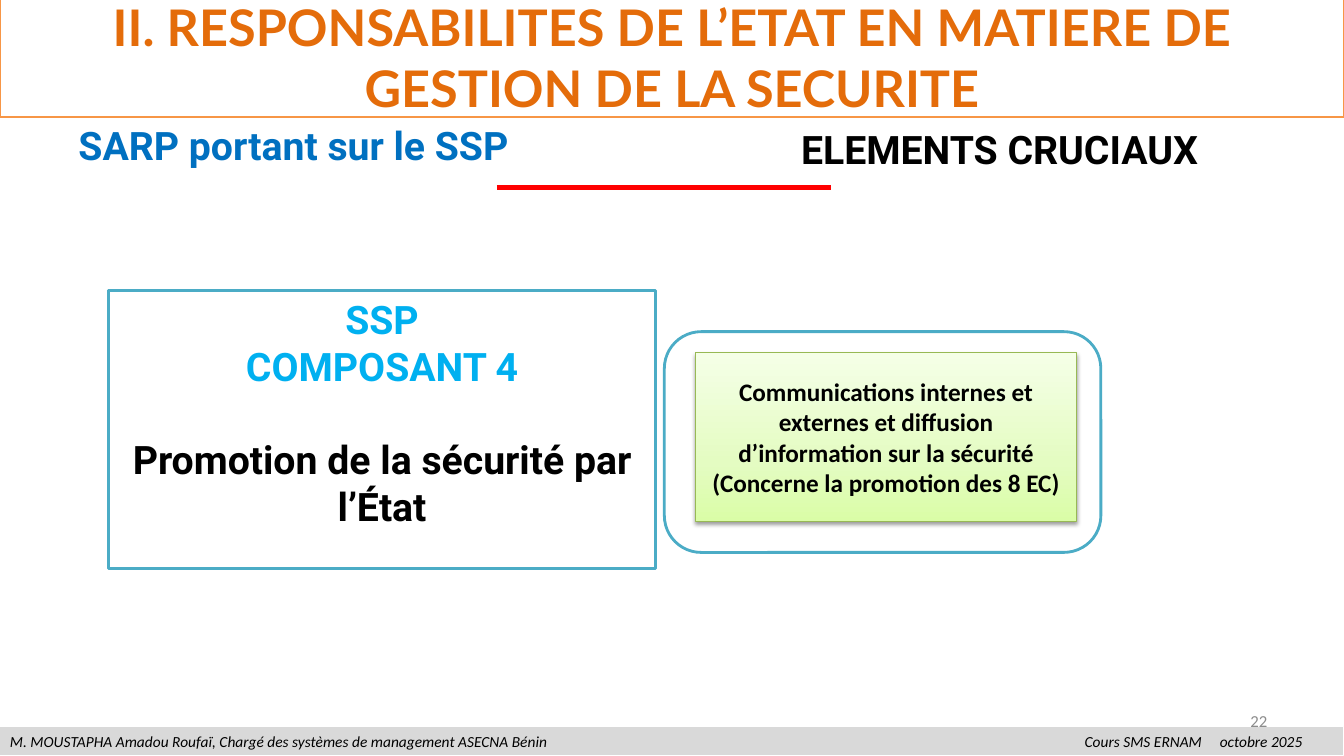
"""Build the slide on the State's safety promotion duties."""
from dataclasses import dataclass
from lxml import etree
from pptx import Presentation
from pptx.dml.color import RGBColor
from pptx.enum.shapes import MSO_CONNECTOR, MSO_SHAPE
from pptx.enum.text import MSO_ANCHOR, PP_ALIGN
from pptx.oxml import parse_xml
from pptx.util import Inches, Pt

RECT, ROUND = MSO_SHAPE.RECTANGLE, MSO_SHAPE.ROUNDED_RECTANGLE
STRAIGHT = MSO_CONNECTOR.STRAIGHT
LEFT, MID, RIGHT = PP_ALIGN.LEFT, PP_ALIGN.CENTER, PP_ALIGN.RIGHT
TOP, CORE = MSO_ANCHOR.TOP, MSO_ANCHOR.MIDDLE
WIDE, HIGH = Inches(13.33), Inches(7.5)
NS = "http://schemas.openxmlformats.org/drawingml/2006/main"
TEAL, WHITE, BLACK = "4BACC6", "FFFFFF", "000000"


@dataclass
class Line:
    text: str
    color: str = BLACK
    gap: float = 0


@dataclass
class Box:
    place: tuple[float, float, float, float]
    lines: tuple[Line, ...] = ()
    font: str = "Calibri"
    size: float = 18
    bold: bool = True
    slant: bool = False
    align: PP_ALIGN = MID
    anchor: MSO_ANCHOR = TOP
    shape: MSO_SHAPE | None = RECT
    fill: str = WHITE
    edge: str = TEAL
    width: float = 2
    tabs: tuple[float, ...] = ()
    glow: bool = False


BOXES = (
    Box((0, 96.13, 100, 3.87),
        (Line("M. MOUSTAPHA Amadou Roufaï, Chargé des systèmes de management ASECNA Bénin"
              "\tCours SMS ERNAM\toctobre 2025"),),
        size=11, bold=False, slant=True, align=LEFT, fill="D9D9D9", edge=WHITE,
        width=0.75, tabs=(10.66, 12)),
    Box((49.43, 43.87, 32.48, 29.2), shape=ROUND),
    Box((71.7, 92.67, 23.33, 5.33), (Line("22", "8C8C8C"),),
        size=12, bold=False, align=RIGHT, anchor=CORE, shape=None),
    Box((8.1, 38.4, 40.65, 36.8),
        (Line("SSP", "00B0F0"), Line("COMPOSANT 4", "00B0F0"),
         Line("Promotion de la sécurité par l’État", gap=33)),
        font="Roboto", size=28),
    Box((51.75, 46.67, 28.35, 22.27),
        (Line("Communications internes et externes et diffusion d’information "
              "sur la sécurité (Concerne la promotion des 8 EC)"),),
        anchor=CORE, edge="98B955", width=0.75, glow=True),
    Box((0, -0.4, 100, 15.87),
        (Line("II. RESPONSABILITES DE L’ETAT EN MATIERE DE GESTION DE LA SECURITE",
              "E46C0A"),),
        font="Lato", size=36, anchor=CORE, edge="F79646"),
    Box((5.1, 15.33, 41.93, 7.6), (Line("SARP portant sur le SSP", "0070C0"),),
        font="Roboto", size=28, align=LEFT, shape=None),
    Box((58.87, 15.87, 33.9, 7.6), (Line("ELEMENTS CRUCIAUX"),),
        font="Roboto", size=28, align=LEFT, shape=None),
)


def rgb(code: str) -> RGBColor:
    """Turn a hex string into a colour."""
    return RGBColor.from_string(code)


def col(share: float) -> int:
    """Give a percentage of the slide's width."""
    return round(WIDE * share / 100)


def row(share: float) -> int:
    """Give a percentage of the slide's height."""
    return round(HIGH * share / 100)


def shade(shape) -> None:
    """Give a shape the green gradient and soft shadow."""
    stops = "".join(
        f'<a:gs pos="{spot * 1000}"><a:srgbClr val="{code}"/></a:gs>'
        for spot, code in ((0, "DAFDA7"), (35, "E4FCC2"), (100, "F5FFE7")))
    grad = parse_xml(f'<a:gradFill xmlns:a="{NS}" rotWithShape="1"><a:gsLst>{stops}</a:gsLst>'
                     '<a:lin ang="16200000" scaled="0"/></a:gradFill>')
    props = shape.element.spPr
    old = props.find(f"{{{NS}}}solidFill")
    props.replace(old, grad)
    glow = parse_xml(f'<a:outerShdw xmlns:a="{NS}" blurRad="{Pt(3.1)}" dist="{Pt(1.6)}" '
                     'dir="5400000" rotWithShape="0"><a:srgbClr val="000000">'
                     '<a:alpha val="38000"/></a:srgbClr></a:outerShdw>')
    props.find(f"{{{NS}}}effectLst").append(glow)


def write(frame, box: Box) -> None:
    """Fill a text frame with the lines of a box."""
    frame.word_wrap = True
    frame.vertical_anchor = box.anchor
    frame.text = "\n".join(line.text for line in box.lines)
    for para, line in zip(frame.paragraphs, box.lines):
        para.alignment = box.align
        if line.gap:
            para.space_before = Pt(line.gap)
        if box.tabs:
            stops = etree.SubElement(para._p.get_or_add_pPr(), f"{{{NS}}}tabLst")
            for tab in box.tabs:
                etree.SubElement(stops, f"{{{NS}}}tab", pos=str(Inches(tab)), algn="l")
        for run in para.runs:
            font = run.font
            font.name, font.size = box.font, Pt(box.size)
            font.bold, font.italic = box.bold, box.slant
            font.color.rgb = rgb(line.color)


def draw(slide, box: Box) -> None:
    """Draw a box and its text."""
    left, top, wide, high = box.place
    area = col(left), row(top), col(wide), row(high)
    if box.shape is None:
        shape = slide.shapes.add_textbox(*area)
    else:
        shape = slide.shapes.add_shape(box.shape, *area)
        shape.shadow.inherit = False
        shape.fill.solid()
        shape.fill.fore_color.rgb = rgb(box.fill)
        shape.line.color.rgb = rgb(box.edge)
        shape.line.width = Pt(box.width)
        if box.glow:
            shade(shape)
    if box.lines:
        write(shape.text_frame, box)


def rule(slide, start: float, end: float, level: float) -> None:
    """Draw the red rule under the headings."""
    bar = slide.shapes.add_connector(STRAIGHT, col(start), row(level), col(end), row(level))
    bar.line.color.rgb = rgb("FF0000")
    bar.line.width = Pt(3)
    etree.SubElement(bar.element.spPr, f"{{{NS}}}effectLst")


def main() -> None:
    """Make the deck and save it."""
    deck = Presentation()
    deck.slide_width, deck.slide_height = WIDE, HIGH
    slide = deck.slides.add_slide(deck.slide_layouts[6])
    for box in BOXES:
        draw(slide, box)
    rule(slide, 36.98, 61.8, 24.8)
    deck.save("out.pptx")


if __name__ == "__main__":
    main()
